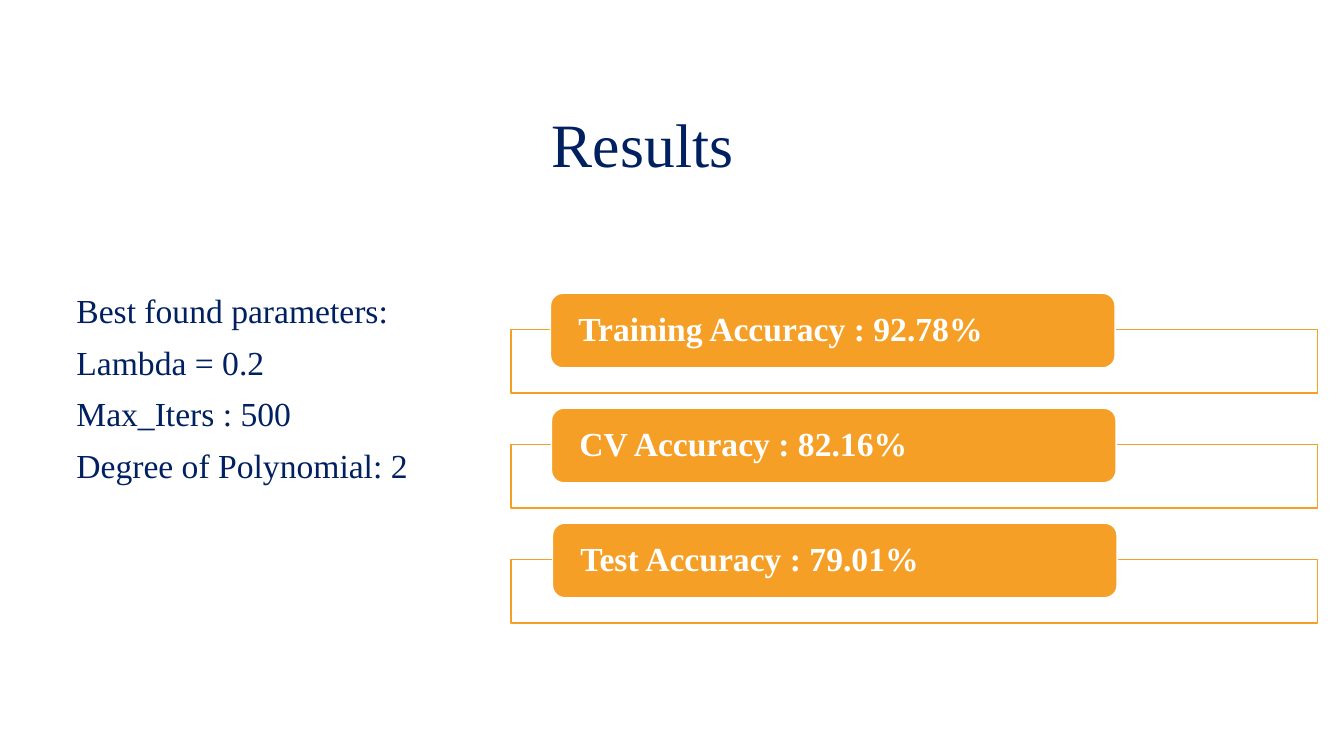
from lxml import etree
from pptx import Presentation
from pptx.dml.color import RGBColor
from pptx.enum.shapes import MSO_SHAPE
from pptx.enum.text import MSO_ANCHOR, PP_ALIGN
from pptx.oxml.ns import qn
from pptx.util import Inches, Pt

RECTANGLE = MSO_SHAPE.RECTANGLE
ROUNDED = MSO_SHAPE.ROUNDED_RECTANGLE
MIDDLE, BOTTOM = MSO_ANCHOR.MIDDLE, MSO_ANCHOR.BOTTOM
LEFT, CENTER = PP_ALIGN.LEFT, PP_ALIGN.CENTER

# Content
TITLE = "Results"
PARAMETERS = [
    "Best found parameters:",
    "Lambda = 0.2",
    "Max_Iters : 500",
    "Degree of Polynomial: 2",
]
ACCURACIES = [
    "Training Accuracy : 92.78%",
    "CV Accuracy : 82.16%",
    "Test Accuracy : 79.01%",
]

THEME = {
    "font": "Times New Roman",
    "navy": RGBColor(0x00, 0x20, 0x60),
    "orange": RGBColor(0xF5, 0x9F, 0x26),
    "white": RGBColor(0xFF, 0xFF, 0xFF),
    "title_size": Pt(44),
    "text_size": Pt(24),
    "line_width": Pt(1),
}

# Layout in inches
TITLE_BOX = (0.87, 0.42, 11.01, 1.42)
PARAMETERS_BOX = (0.66, 2, 4.96, 3.74)
FRAME_LEFT, FRAME_TOP, FRAME_WIDTH, FRAME_HEIGHT = 5.07, 3.27, 8, 0.63
LABEL_LEFT, LABEL_TOP, LABEL_WIDTH, LABEL_HEIGHT = 5.46, 2.91, 5.6, 0.74
ROW_STEP, LABEL_SHIFT = 1.14, 0.01
LABEL_INSET = 0.24


def write_text(shape, lines, size, color, anchor, align=LEFT, bold=False, gap=0):
    frame = shape.text_frame
    frame.word_wrap = True
    frame.vertical_anchor = anchor
    for index, line in enumerate(lines):
        paragraph = frame.add_paragraph() if index else frame.paragraphs[0]
        paragraph.text = line
        paragraph.alignment = align
        paragraph.line_spacing = 0.9
        if index:
            paragraph.space_before = Pt(gap)
        font = paragraph.font
        font.name, font.size, font.bold = THEME["font"], size, bold
        font.color.rgb = color


def add_text(slide, box, *args, **options):
    shape = slide.shapes.add_textbox(*map(Inches, box))
    write_text(shape, *args, **options)


def add_panel(slide, kind, box, fill, line):
    shape = slide.shapes.add_shape(kind, *map(Inches, box))
    shape.shadow.inherit = False
    shape.fill.solid()
    shape.fill.fore_color.rgb = fill
    shape.line.color.rgb = line
    shape.line.width = THEME["line_width"]
    return shape


def set_opacity(shape, percent):
    color = shape.fill._xPr.find(qn("a:solidFill"))[0]
    etree.SubElement(color, qn("a:alpha")).set("val", str(percent * 1000))


def add_accuracy(slide, row, text):
    offset = row * ROW_STEP
    frame = add_panel(
        slide, RECTANGLE,
        (FRAME_LEFT, FRAME_TOP + offset, FRAME_WIDTH, FRAME_HEIGHT),
        THEME["white"], THEME["orange"])
    set_opacity(frame, 90)
    label = add_panel(
        slide, ROUNDED,
        (LABEL_LEFT + row * LABEL_SHIFT, LABEL_TOP + offset, LABEL_WIDTH, LABEL_HEIGHT),
        THEME["orange"], THEME["white"])
    write_text(label, [text], THEME["text_size"], THEME["white"], MIDDLE, bold=True)
    text_frame = label.text_frame
    text_frame.margin_left = text_frame.margin_right = Inches(LABEL_INSET)
    text_frame.margin_top = text_frame.margin_bottom = 0


def main():
    presentation = Presentation()
    presentation.slide_width = Inches(13.33)
    presentation.slide_height = Inches(7.5)
    slide = presentation.slides.add_slide(presentation.slide_layouts[6])

    # Title and parameters
    add_text(slide, TITLE_BOX, [TITLE], THEME["title_size"], THEME["navy"],
             BOTTOM, align=CENTER)
    add_text(slide, PARAMETERS_BOX, PARAMETERS, THEME["text_size"], THEME["navy"],
             MIDDLE, gap=11)

    # Accuracy rows
    for row, text in enumerate(ACCURACIES):
        add_accuracy(slide, row, text)

    presentation.save("out.pptx")


if __name__ == "__main__":
    main()
